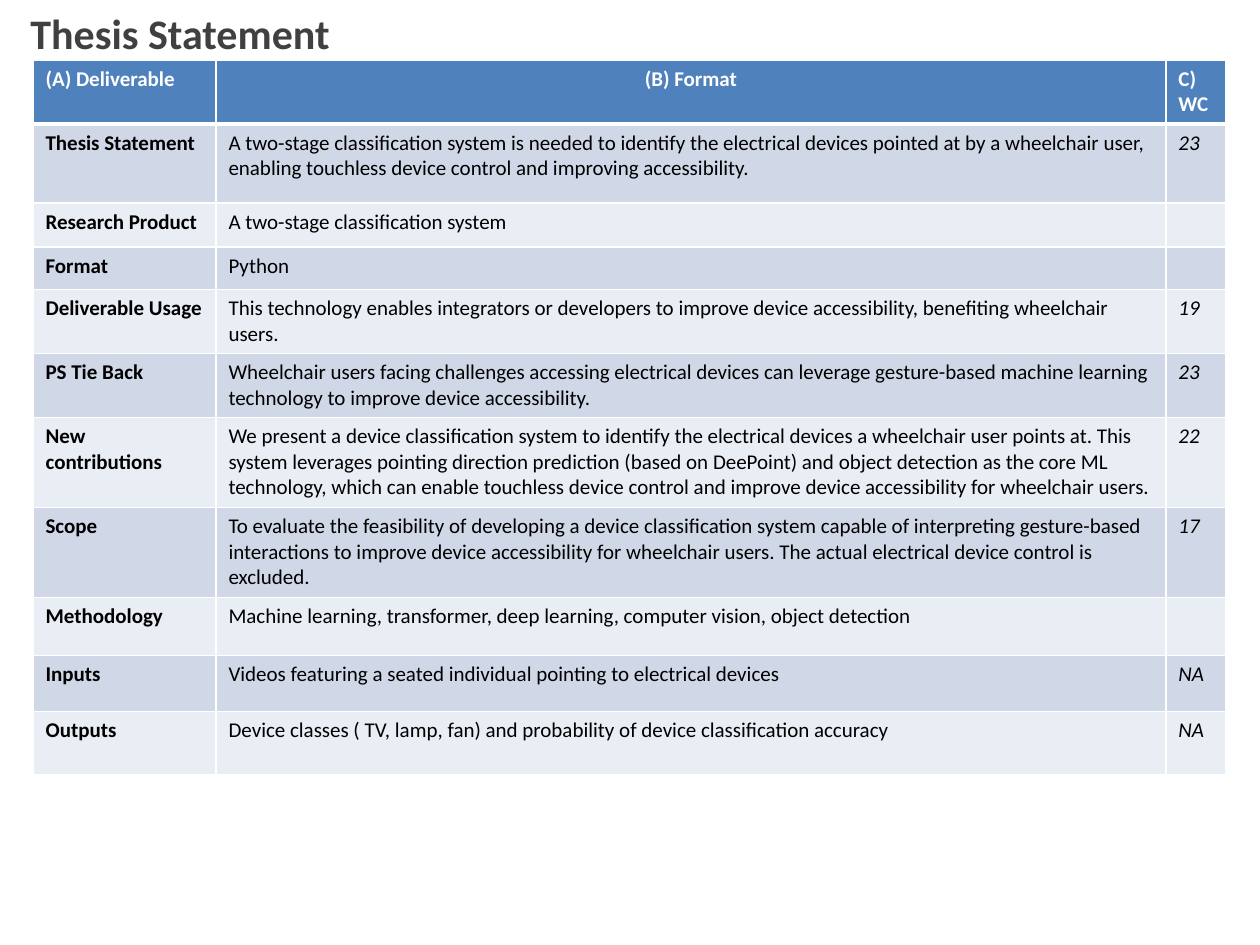
from dataclasses import dataclass

from lxml import etree
from pptx import Presentation
from pptx.dml.color import RGBColor
from pptx.enum.text import PP_ALIGN
from pptx.oxml.ns import qn
from pptx.util import Pt

LEFT, CENTER = PP_ALIGN.LEFT, PP_ALIGN.CENTER
PX = 914400 // 126


@dataclass(frozen=True)
class Theme:
    """Colours and type sizes of the slide."""
    font: str = "Calibri"
    title: int = 24
    body: int = 12
    gray: str = "404040"
    black: str = "000000"
    white: str = "FFFFFF"
    head: str = "4F81BD"
    bands: tuple = ("D0D8E8", "E9EDF4")
    thin: int = 1
    thick: int = 3


THEME = Theme()
COLS = (183, 950, 60)
ROWS = (63, 79, 44, 43, 63, 63, 90, 90, 58, 56, 63)
HEADS = ("(A) Deliverable", "(B) Format", "C) WC")
ITEMS = (
    ("Thesis Statement", "A two-stage classification system is needed to identify the "
     "electrical devices pointed at by a wheelchair user, enabling touchless device "
     "control and improving accessibility.", "23"),
    ("Research Product", "A two-stage classification system", ""),
    ("Format", "Python", ""),
    ("Deliverable Usage", "This technology enables integrators or developers to improve "
     "device accessibility, benefiting wheelchair users.", "19"),
    ("PS Tie Back", "Wheelchair users facing challenges accessing electrical devices can "
     "leverage gesture-based machine learning technology to improve device "
     "accessibility.", "23"),
    ("New contributions", "We present a device classification system to identify the "
     "electrical devices a wheelchair user points at. This system leverages pointing "
     "direction prediction (based on DeePoint) and object detection as the core ML "
     "technology, which can enable touchless device control and improve device "
     "accessibility for wheelchair users.", "22"),
    ("Scope", "To evaluate the feasibility of developing a device classification system "
     "capable of interpreting gesture-based interactions to improve device accessibility "
     "for wheelchair users. The actual electrical device control is excluded.", "17"),
    ("Methodology", "Machine learning, transformer, deep learning, computer vision, "
     "object detection", ""),
    ("Inputs", "Videos featuring a seated individual pointing to electrical devices", "NA"),
    ("Outputs", "Device classes ( TV, lamp, fan) and probability of device "
     "classification accuracy", "NA"),
)


def add_run(para, text, size, color, bold=False, slant=False):
    """Add one styled run to a paragraph."""
    run = para.add_run()
    run.text = text
    font = run.font
    font.name, font.size = THEME.font, Pt(size)
    font.bold, font.italic = bold, slant
    font.color.rgb = RGBColor.from_string(color)


def add_edges(cell, top, bottom):
    """Draw the white borders of a cell."""
    props = cell._tc.get_or_add_tcPr()
    widths = {"L": THEME.thin, "R": THEME.thin, "T": top, "B": bottom}
    for side, width in widths.items():
        line = etree.SubElement(props, qn(f"a:ln{side}"), w=str(Pt(width)))
        fill = etree.SubElement(line, qn("a:solidFill"))
        etree.SubElement(fill, qn("a:srgbClr"), val=THEME.white)


def fill_cell(cell, text, row, col):
    """Style a cell by its place in the grid and write its text."""
    head = row == 0
    add_edges(cell, THEME.thick if row == 1 else THEME.thin,
              THEME.thick if head else THEME.thin)
    cell.fill.solid()
    shade = THEME.head if head else THEME.bands[(row - 1) % 2]
    cell.fill.fore_color.rgb = RGBColor.from_string(shade)
    para = cell.text_frame.paragraphs[0]
    para.alignment = CENTER if head and col == 1 else LEFT
    if text:
        add_run(para, text, THEME.body, THEME.white if head else THEME.black,
                bold=head or col == 0, slant=not head and col == 2)
    else:
        etree.SubElement(para._p, qn("a:endParaRPr"), sz=str(THEME.body * 100))


def add_title(slide, left, top, width, height):
    """Place the slide title in the given box."""
    box = slide.shapes.add_textbox(left * PX, top * PX, width * PX, height * PX)
    frame = box.text_frame
    frame.word_wrap = True
    frame.margin_top = 8 * PX
    add_run(frame.paragraphs[0], "Thesis Statement", THEME.title, THEME.gray, bold=True)


def add_grid(slide, left, top):
    """Place the table of deliverables with its corner at the given point."""
    table = slide.shapes.add_table(len(ROWS), len(COLS), left * PX, top * PX,
                                   sum(COLS) * PX, sum(ROWS) * PX).table
    for col, width in zip(table.columns, COLS):
        col.width = width * PX
    for row, height in zip(table.rows, ROWS):
        row.height = height * PX
    for row, texts in enumerate((HEADS, *ITEMS)):
        for col, text in enumerate(texts):
            fill_cell(table.cell(row, col), text, row, col)


def main():
    """Build the slide and save it."""
    deck = Presentation()
    deck.slide_width, deck.slide_height = 1260 * PX, 945 * PX
    slide = deck.slides.add_slide(deck.slide_layouts[6])
    add_grid(slide, 33, 60)
    add_title(slide, 18, 0, 1169, 37)
    deck.save("out.pptx")


if __name__ == "__main__":
    main()
